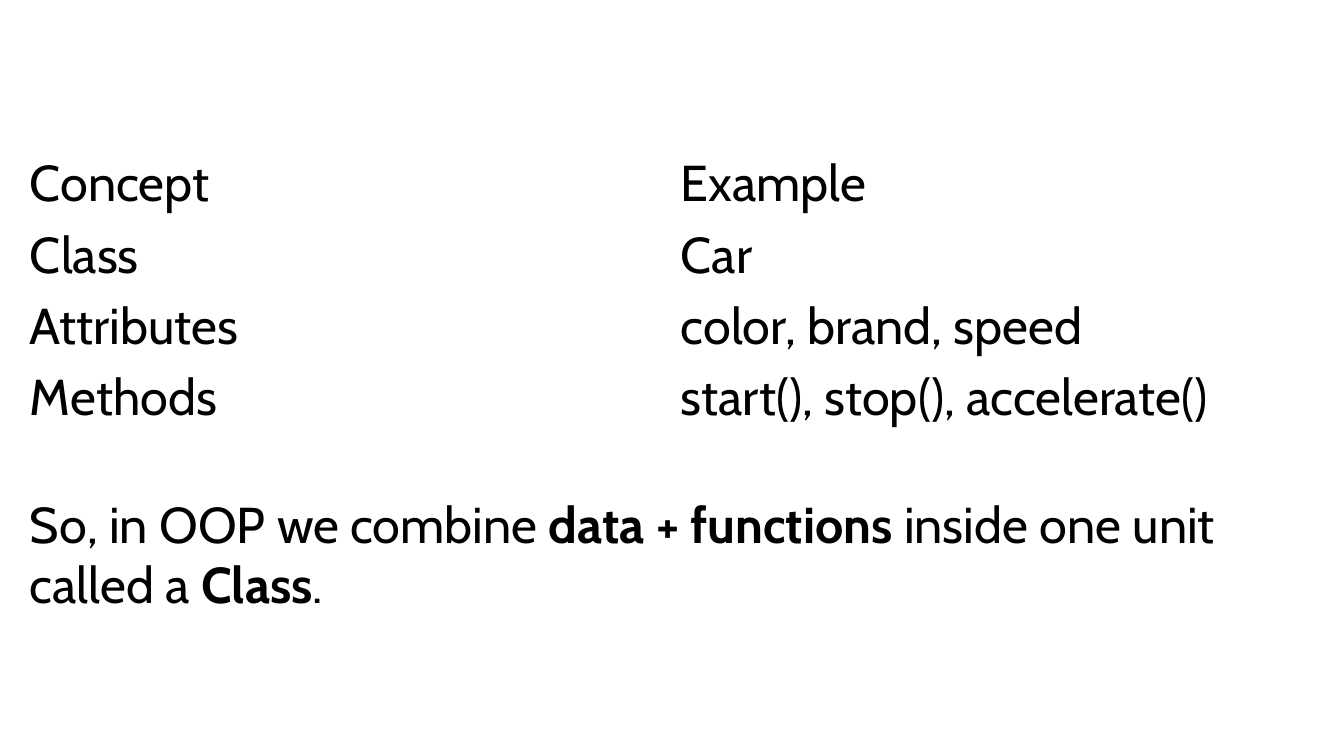
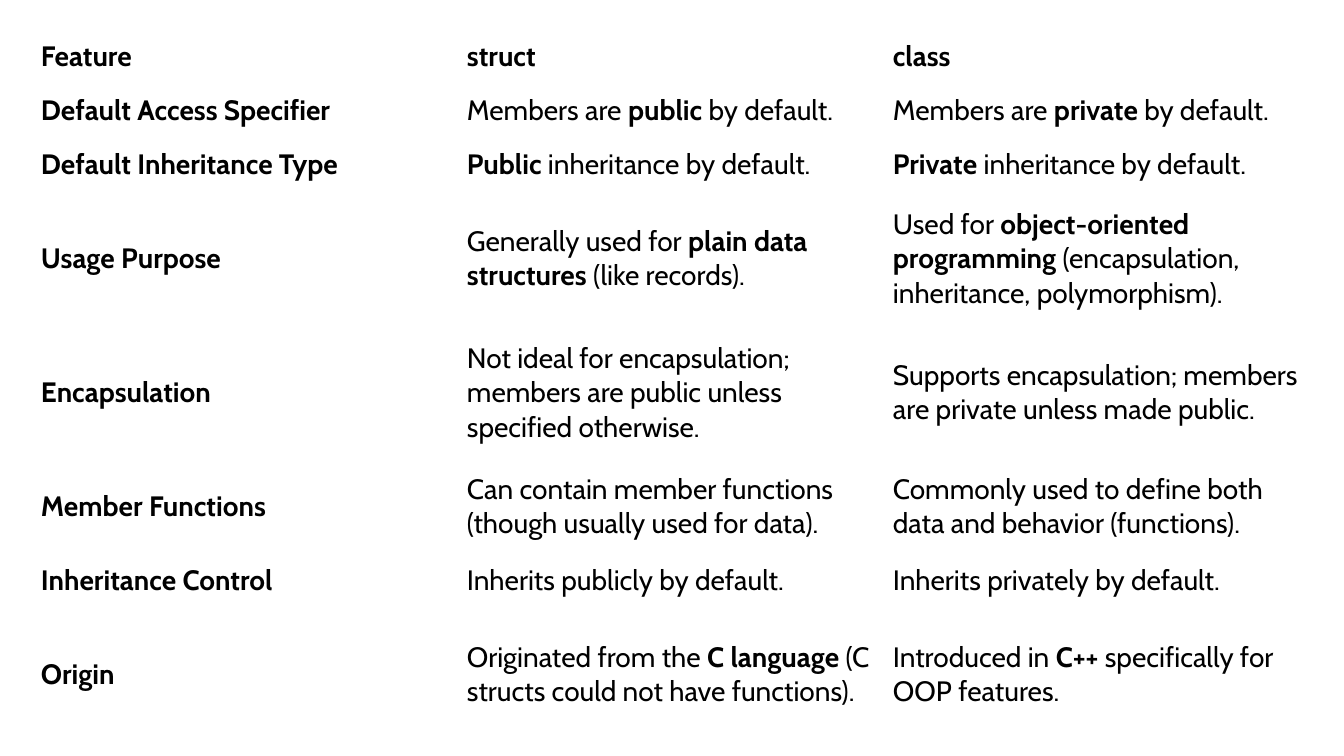
from dataclasses import dataclass

from pptx import Presentation
from pptx.dml.color import RGBColor
from pptx.enum.text import MSO_ANCHOR, MSO_AUTO_SIZE
from pptx.util import Pt

SLIDE_WIDTH, SLIDE_HEIGHT = 1344, 756
EMU_PER_PX = 12192000 / SLIDE_WIDTH


@dataclass(frozen=True)
class Theme:
    font: str = "Cabin"
    ink: RGBColor = RGBColor(0, 0, 0)
    paper: RGBColor = RGBColor(255, 255, 255)
    large: int = 36
    small: int = 20


THEME = Theme()

CONCEPTS = {
    "rows": [
        ("Concept", "Example"),
        ("Class", "Car"),
        ("Attributes", "color, brand, speed"),
        ("Methods", "start(), stop(), accelerate()"),
    ],
    "heights": [71] * 4,
    "left": 20, "top": 148, "column": 651,
    "margins": (10, 5),
    "size": THEME.large,
}

SUMMARY = "So, in OOP we combine **data + functions** inside one unit called a **Class**."
SUMMARY_PLACE = (20, 488, 1301, 132)

COMPARISON = {
    "rows": [
        ("**Feature**", "**struct**", "**class**"),
        ("**Default Access Specifier**",
         "Members are **public** by default.",
         "Members are **private** by default."),
        ("**Default Inheritance Type**",
         "**Public** inheritance by default.",
         "**Private** inheritance by default."),
        ("**Usage Purpose**",
         "Generally used for **plain data structures** (like records).",
         "Used for **object-oriented programming** (encapsulation, inheritance, polymorphism)."),
        ("**Encapsulation**",
         "Not ideal for encapsulation; members are public unless specified otherwise.",
         "Supports encapsulation; members are private unless made public."),
        ("**Member Functions**",
         "Can contain member functions (though usually used for data).",
         "Commonly used to define both data and behavior (functions)."),
        ("**Inheritance Control**",
         "Inherits publicly by default.",
         "Inherits privately by default."),
        ("**Origin**",
         "Originated from the **C language** (C structs could not have functions).",
         "Introduced in **C++** specifically for OOP features."),
    ],
    "heights": [54, 54, 54, 134, 134, 94, 54, 134],
    "left": 32, "top": 30, "column": 426,
    "margins": (9, 4),
    "size": THEME.small,
}


def px(length):
    return round(length * EMU_PER_PX)


def add_page(deck):
    page = deck.slides.add_slide(deck.slide_layouts[6])
    page.background.fill.solid()
    page.background.fill.fore_color.rgb = THEME.paper
    return page


def write(frame, text, size):
    frame.word_wrap = True
    para = frame.paragraphs[0]
    para.font.name = THEME.font
    para.font.size = Pt(size)
    para.font.color.rgb = THEME.ink
    for index, part in enumerate(text.split("**")):
        if part:
            span = para.add_run()
            span.text = part
            span.font.bold = index % 2 == 1


def add_grid(page, content):
    rows, heights, column = content["rows"], content["heights"], content["column"]
    count = len(rows[0])
    place = (content["left"], content["top"], column * count, sum(heights))
    table = page.shapes.add_table(len(rows), count, *map(px, place)).table
    table.first_row = False
    table.horz_banding = False
    for table_column in table.columns:
        table_column.width = px(column)
    side, edge = map(px, content["margins"])
    for row, height, texts in zip(table.rows, heights, rows):
        row.height = px(height)
        for cell, text in zip(row.cells, texts):
            cell.fill.background()
            cell.vertical_anchor = MSO_ANCHOR.MIDDLE
            cell.margin_left = cell.margin_right = side
            cell.margin_top = cell.margin_bottom = edge
            write(cell.text_frame, text, content["size"])


def add_summary(page):
    box = page.shapes.add_textbox(*map(px, SUMMARY_PLACE))
    write(box.text_frame, SUMMARY, THEME.large)
    box.text_frame.auto_size = MSO_AUTO_SIZE.SHAPE_TO_FIT_TEXT


def main():
    deck = Presentation()
    deck.slide_width, deck.slide_height = px(SLIDE_WIDTH), px(SLIDE_HEIGHT)
    concept_page = add_page(deck)
    add_grid(concept_page, CONCEPTS)
    add_summary(concept_page)
    add_grid(add_page(deck), COMPARISON)
    deck.save("out.pptx")


if __name__ == "__main__":
    main()
